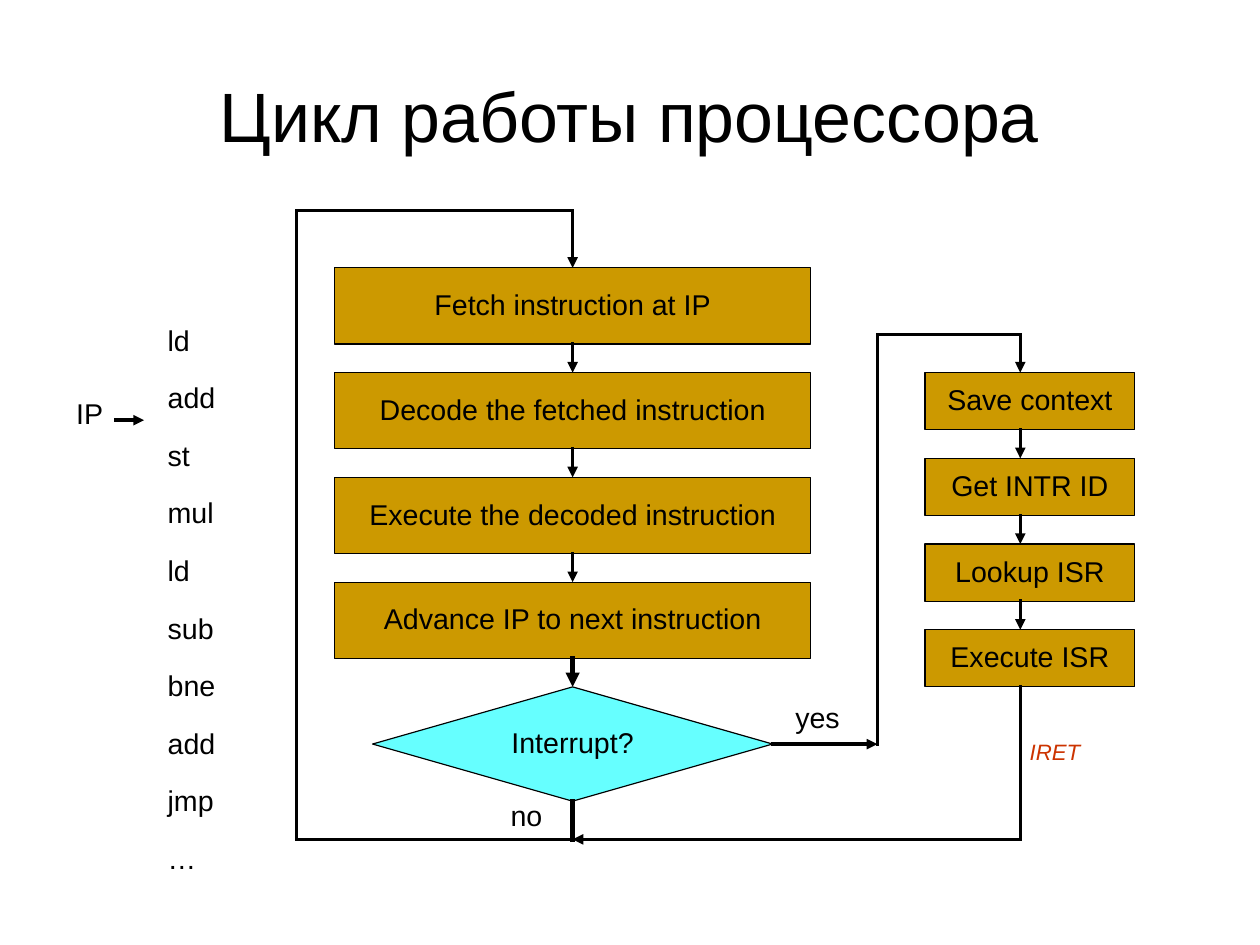
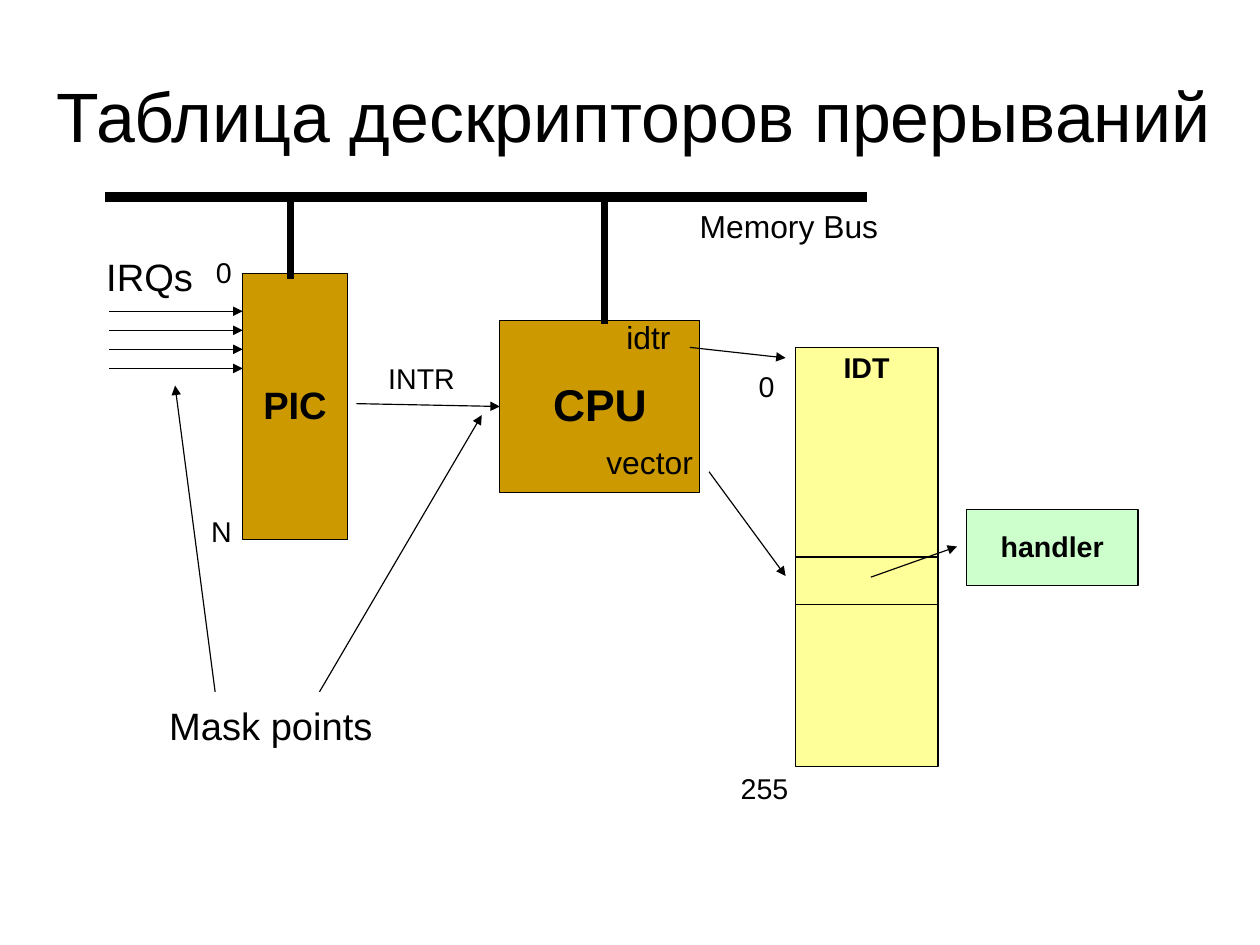
import itertools

import pptx
import pptx.dml.color
import pptx.enum.shapes
import pptx.enum.text
import pptx.oxml.ns
import pptx.util
from lxml import etree

SHAPE = pptx.enum.shapes.MSO_SHAPE
ALIGN = pptx.enum.text.PP_ALIGN
ANCHOR = pptx.enum.text.MSO_ANCHOR
FIT = pptx.enum.text.MSO_AUTO_SIZE
W, H = pptx.util.Cm(28), pptx.util.Cm(21)
CELL = 1 / 12
FONT = "Arial"
BLACK, GOLD, CYAN = "000000", "CC9900", "66FFFF"
YELLOW, GREEN, RED = "FFFF99", "CCFFCC", "CC3300"


def rgb(value):
    return pptx.dml.color.RGBColor.from_string(value)


def style(p, size=18, color=BLACK, bold=False, italic=False, align=ALIGN.LEFT, spacing=0.93):
    p.alignment = align
    p.line_spacing = spacing
    for r in p.runs:
        r.font.name = FONT
        r.font.size = pptx.util.Pt(size)
        r.font.bold = bold
        r.font.italic = italic
        r.font.color.rgb = rgb(color)


def add_slide(prs, title, left, width):
    s = prs.slides.add_slide(prs.slide_layouts[5])
    sp = s.shapes.title
    sp.left, sp.width = pptx.util.Inches(left), pptx.util.Inches(width)
    sp.top, sp.height = int(0.04 * H), int(H / 6)
    tf = sp.text_frame
    tf.text = title
    tf.auto_size = FIT.NONE
    tf.word_wrap = True
    tf.vertical_anchor = ANCHOR.MIDDLE
    tf.margin_left = tf.margin_right = tf.margin_bottom = 0
    tf.margin_top = pptx.util.Inches(0.04)
    style(tf.paragraphs[0], 44, align=ALIGN.CENTER)
    return s


class Region:
    def __init__(self, s, col, row, shift):
        self.shapes = s.shapes
        self.left = col * CELL + shift
        self.top = row * CELL + shift

    def point(self, col, row):
        return (pptx.util.Inches(self.left + col * CELL),
                pptx.util.Inches(self.top + row * CELL))

    def frame(self, col, row, cols, rows):
        return (*self.point(col, row),
                pptx.util.Inches(cols * CELL), pptx.util.Inches(rows * CELL))

    def box(self, col, row, cols, rows, text, fill=GOLD, kind=SHAPE.RECTANGLE,
            anchor=ANCHOR.MIDDLE, **font):
        sp = self.shapes.add_shape(kind, *self.frame(col, row, cols, rows))
        sp.shadow.inherit = False
        sp.fill.solid()
        sp.fill.fore_color.rgb = rgb(fill)
        sp.line.color.rgb = rgb(BLACK)
        sp.line.width = pptx.util.Pt(0.75)
        tf = sp.text_frame
        tf.text = text
        tf.word_wrap = False
        tf.vertical_anchor = anchor
        style(tf.paragraphs[0], align=ALIGN.CENTER, **font)

    def label(self, col, row, cols, text, size=18, **font):
        rows = size * 0.18 + 1.3
        sp = self.shapes.add_textbox(*self.frame(col, row, cols, rows))
        tf = sp.text_frame
        tf.text = text
        tf.word_wrap = False
        tf.auto_size = FIT.SHAPE_TO_FIT_TEXT
        style(tf.paragraphs[0], size, **font)

    def route(self, *points, width=2.25, arrow=True):
        segments = list(itertools.pairwise(points))
        for i, (start, end) in enumerate(segments, 1):
            c = self.shapes.add_connector(
                pptx.enum.shapes.MSO_CONNECTOR.STRAIGHT,
                *self.point(*start), *self.point(*end))
            c.line.color.rgb = rgb(BLACK)
            c.line.width = pptx.util.Pt(width)
            ln = c.line._get_or_add_ln()
            ln.set("cap", "sq")
            if arrow and i == len(segments):
                etree.SubElement(ln, pptx.oxml.ns.qn("a:tailEnd"), type="triangle")
            etree.SubElement(c._element.spPr, pptx.oxml.ns.qn("a:effectLst"))


def program_listing(g):
    ops = ["ld", "add", "st", "mul", "ld", "sub", "bne", "add", "jmp", "…"]
    table = g.shapes.add_table(len(ops), 1, *g.frame(10, 0, 9, 6.05 * len(ops))).table
    table.first_row = table.horz_banding = False
    for cell, op in zip(table.iter_cells(), ops):
        cell.fill.background()
        cell.text = op
        cell.vertical_anchor = ANCHOR.MIDDLE
        cell.margin_left = cell.margin_right = pptx.util.Inches(0.04)
        style(cell.text_frame.paragraphs[0], spacing=0.72)
    g.label(-0.3, 8.2, 5.2, "IP")
    g.route((5, 11), (8, 11))


def processor_loop(g):
    steps = ["Fetch instruction at IP", "Decode the fetched instruction",
             "Execute the decoded instruction", "Advance IP to next instruction"]
    for i, step in enumerate(steps):
        row = 6 + 11 * i
        g.box(4, row, 50, 8, step)
        g.route((29, row + 8), (29, row + 11), width=3 if step == steps[-1] else 2.25)
    g.box(8, 50, 42, 12, "Interrupt?", CYAN, SHAPE.DIAMOND)
    g.route((29, 62), (29, 66), width=3, arrow=False)
    g.route((29, 66), (0, 66), (0, 0), (29, 0), (29, 6))
    g.label(21.3, 61.4, 5.8, "no")


def interrupt_branch(g):
    g.route((0, 43), (11, 43))
    g.label(1.2, 38.1, 7.1, "yes")
    g.route((11, 43), (11, 0), (26, 0), (26, 4))
    steps = ["Save context", "Get INTR ID", "Lookup ISR", "Execute ISR"]
    for i, step in enumerate(steps):
        row = 4 + 9 * i
        g.box(16, row, 22, 6, step)
        if i:
            g.route((26, row - 3), (26, row))
    g.route((26, 37), (26, 53), (-21, 53))
    g.label(25.8, 42.1, 7.7, "IRET", 14, color=RED, italic=True)


def memory_bus(g):
    g.route((0, 0), (79, 0), width=6, arrow=False)
    for col, depth in ((19, 8.2), (52, 13)):
        g.route((col, 0), (col, depth), width=4.5, arrow=False)
    g.label(60.8, 0.8, 21.8, "Memory Bus", 20)


def interrupt_controller(g):
    g.box(14, 0, 11, 28, "PIC", size=24, bold=True)
    for i in range(4):
        row = 4 + 2 * i
        g.route((0, row), (14, row), width=0.75)
    g.label(-1.5, -2.2, 11.5, "IRQs", 24)
    g.label(10, -2.2, 4.1, "0")
    g.label(9.5, 25, 4.6, "N")


def cpu(g):
    g.box(0, 0, 21, 18, "CPU", size=28, bold=True)
    g.label(12.1, -0.6, 7, "idtr", 20)
    g.label(10, 12.6, 11.5, "vector", 20)
    g.label(-12.9, 3.9, 9.4, "INTR")
    g.route((-15, 8.7), (0, 9), width=0.75)
    g.route((20, 2.8), (30, 3.9), width=0.75)
    g.route((22, 15.9), (30, 26.8), width=0.75)


def descriptor_table(g):
    g.box(0, 0, 15, 44, "IDT", YELLOW, anchor=ANCHOR.TOP, bold=True)
    for row in (22, 27):
        g.route((0, row), (15, row), width=0.75, arrow=False)
    g.label(-5, 2, 4.1, "0")
    g.label(-6.9, 44.2, 7.8, "255")
    g.box(18, 17, 18, 8, "handler", GREEN, bold=True)
    g.route((8, 24.1), (17, 20.9), width=0.75)


def mask_points(g):
    g.label(0, 1, 23.8, "Mask points", 24)
    g.route((6, 0), (1.8, -32.1), width=0.75)
    g.route((17, 0), (34, -29), width=0.75)


def main():
    prs = pptx.Presentation()
    prs.slide_width = W
    prs.slide_height = H

    s = add_slide(prs, "Цикл работы процессора", 0.55, 9.92)
    processor_loop(Region(s, 31, 22, 0.01))
    interrupt_branch(Region(s, 81, 35, 0.01))
    program_listing(Region(s, 7, 33, 0.01))

    s = add_slide(prs, "Таблица дескрипторов прерываний", 0.19, 10.72)
    interrupt_controller(Region(s, 11, 28.2, 0.04))
    cpu(Region(s, 52, 33.2, 0.04))
    memory_bus(Region(s, 11, 20.2, 0.04))
    descriptor_table(Region(s, 83, 36, 0.04))
    mask_points(Region(s, 16.1, 72.1, 0.04))

    prs.save("out.pptx")


if __name__ == "__main__":
    main()
